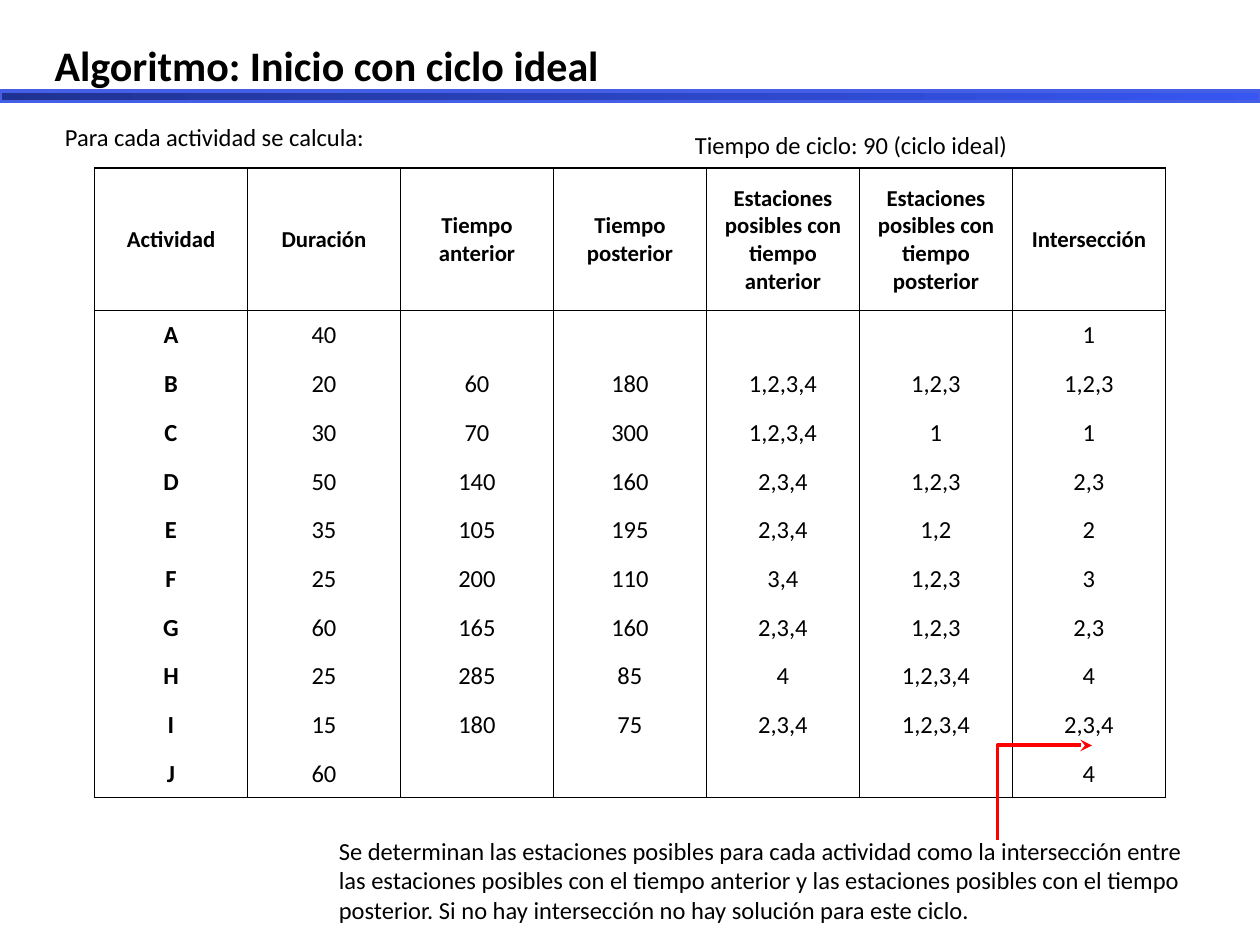
from copy import deepcopy
from dataclasses import dataclass

from lxml import etree
from pptx import Presentation
from pptx.dml.color import RGBColor
from pptx.enum.shapes import MSO_CONNECTOR, MSO_SHAPE
from pptx.enum.text import MSO_ANCHOR, MSO_AUTO_SIZE, PP_ALIGN
from pptx.oxml.ns import qn
from pptx.util import Pt

ELBOW = MSO_CONNECTOR.ELBOW
RECTANGLE = MSO_SHAPE.RECTANGLE
TOP, MIDDLE = MSO_ANCHOR.TOP, MSO_ANCHOR.MIDDLE
NO_AUTO_SIZE = MSO_AUTO_SIZE.NONE
LEFT, CENTER, JUSTIFY = PP_ALIGN.LEFT, PP_ALIGN.CENTER, PP_ALIGN.JUSTIFY
TITLE_ONLY = 5


@dataclass(frozen=True)
class Theme:
    font: str = "Calibri"
    text: str = "000000"
    arrow: str = "FF0000"
    bar_line: str = "445FE6"
    bar_stops: tuple = ((0, "1F3291"), (0.59, "2D48CA"), (1, "3756F2"))
    title_size: float = 24
    body_size: float = 14
    header_size: float = 13
    border_width: float = 0.75
    bar_line_width: float = 2
    arrow_width: float = 2.25


HEADERS = [
    "Actividad", "Duración", "Tiempo anterior", "Tiempo posterior",
    "Estaciones posibles con tiempo anterior",
    "Estaciones posibles con tiempo posterior", "Intersección",
]
ACTIVITIES = [
    ["A", "40", "", "", "", "", "1"],
    ["B", "20", "60", "180", "1,2,3,4", "1,2,3", "1,2,3"],
    ["C", "30", "70", "300", "1,2,3,4", "1", "1"],
    ["D", "50", "140", "160", "2,3,4", "1,2,3", "2,3"],
    ["E", "35", "105", "195", "2,3,4", "1,2", "2"],
    ["F", "25", "200", "110", "3,4", "1,2,3", "3"],
    ["G", "60", "165", "160", "2,3,4", "1,2,3", "2,3"],
    ["H", "25", "285", "85", "4", "1,2,3,4", "4"],
    ["I", "15", "180", "75", "2,3,4", "1,2,3,4", "2,3,4"],
    ["J", "60", "", "", "", "", "4"],
]
EXPLANATION = (
    "Se determinan las estaciones posibles para cada actividad como la "
    "intersección entre las estaciones posibles con el tiempo anterior y las "
    "estaciones posibles con el tiempo posterior. Si no hay intersección no "
    "hay solución para este ciclo."
)


class SlideBuilder:
    def __init__(self, slide, theme):
        self.slide = slide
        self.theme = theme

    def set_text(self, text_frame, text, size, bold=False, alignment=LEFT):
        text_frame.text = text
        for paragraph in text_frame.paragraphs:
            paragraph.alignment = alignment
            for run in paragraph.runs:
                run.font.name = self.theme.font
                run.font.size = Pt(size)
                run.font.bold = bold
                run.font.color.rgb = RGBColor.from_string(self.theme.text)

    def title(self, text, left, top, width, height):
        shape = self.slide.shapes.title
        shape.left, shape.top = Pt(left), Pt(top)
        shape.width, shape.height = Pt(width), Pt(height)
        shape.text_frame.auto_size = NO_AUTO_SIZE
        shape.text_frame.vertical_anchor = TOP
        self.set_text(shape.text_frame, text, self.theme.title_size, True,
                      JUSTIFY)

    def text(self, text, left, top, width, height, alignment=LEFT):
        shape = self.slide.shapes.add_textbox(
            Pt(left), Pt(top), Pt(width), Pt(height))
        shape.text_frame.word_wrap = True
        self.set_text(shape.text_frame, text, self.theme.body_size,
                      alignment=alignment)

    def bar(self, left, top, width, height):
        shape = self.slide.shapes.add_shape(
            RECTANGLE, Pt(left), Pt(top), Pt(width), Pt(height))
        shape.shadow.inherit = False
        shape.fill.gradient()
        shape.fill.gradient_angle = 0
        stop_list = shape._element.spPr.find(qn("a:gradFill")).find(
            qn("a:gsLst"))
        stop_list.append(deepcopy(stop_list[0]))
        for stop, (position, color) in zip(shape.fill.gradient_stops,
                                           self.theme.bar_stops):
            stop.position = position
            stop.color.rgb = RGBColor.from_string(color)
        shape.line.color.rgb = RGBColor.from_string(self.theme.bar_line)
        shape.line.width = Pt(self.theme.bar_line_width)

    def border(self, cell, visible_sides):
        properties = cell._tc.get_or_add_tcPr()
        for side in "LRTB":
            line = etree.SubElement(properties, qn(f"a:ln{side}"))
            if side in visible_sides:
                line.set("w", str(Pt(self.theme.border_width)))
                fill = etree.SubElement(line, qn("a:solidFill"))
                etree.SubElement(fill, qn("a:srgbClr"), val=self.theme.text)
            else:
                etree.SubElement(line, qn("a:noFill"))

    def table(self, rows, left, top, column_width, header_height, row_height):
        row_count, column_count = len(rows), len(rows[0])
        height = header_height + row_height * (row_count - 1)
        table = self.slide.shapes.add_table(
            row_count, column_count, Pt(left), Pt(top),
            Pt(column_width * column_count), Pt(height)).table
        table.first_row = table.horz_banding = False
        for column in table.columns:
            column.width = Pt(column_width)
        for row_index, values in enumerate(rows):
            is_header = row_index == 0
            table.rows[row_index].height = Pt(
                header_height if is_header else row_height)
            sides = "LR"
            if row_index <= 1:
                sides += "T"
            if is_header or row_index == row_count - 1:
                sides += "B"
            size = self.theme.header_size if is_header else self.theme.body_size
            for column_index, value in enumerate(values):
                cell = table.cell(row_index, column_index)
                cell.margin_left = cell.margin_right = Pt(4 if is_header else 1)
                cell.margin_top, cell.margin_bottom = Pt(0.75), Pt(0)
                cell.vertical_anchor = MIDDLE
                self.set_text(cell.text_frame, value, size,
                              is_header or column_index == 0, CENTER)
                self.border(cell, sides)
                cell.fill.background()

    def elbow_arrow(self, start_x, start_y, end_x, end_y):
        connector = self.slide.shapes.add_connector(
            ELBOW, Pt(start_x), Pt(start_y), Pt(end_x), Pt(end_y))
        connector.line.color.rgb = RGBColor.from_string(self.theme.arrow)
        connector.line.width = Pt(self.theme.arrow_width)
        properties = connector._element.spPr
        adjustments = properties.find(qn("a:prstGeom")).find(qn("a:avLst"))
        etree.SubElement(adjustments, qn("a:gd"), name="adj1", fmla="val 0")
        etree.SubElement(properties.find(qn("a:ln")), qn("a:tailEnd"),
                         type="stealth")
        etree.SubElement(properties, qn("a:effectLst"))


def main():
    presentation = Presentation()
    presentation.slide_width, presentation.slide_height = Pt(720), Pt(540)
    slide = presentation.slides.add_slide(
        presentation.slide_layouts[TITLE_ONLY])
    builder = SlideBuilder(slide, Theme())
    builder.text("Para cada actividad se calcula:", 30, 66.25, 660, 24.5, JUSTIFY)
    builder.title("Algoritmo: Inicio con ciclo ideal", 24, 18.75, 642, 36)
    builder.table([HEADERS] + ACTIVITIES, 54, 96, 87.43, 81.4, 27.86)
    builder.text("Tiempo de ciclo: 90 (ciclo ideal)", 390, 71, 312, 25)
    builder.bar(0, 52, 720, 6)
    builder.elbow_arrow(570, 480, 624, 426)
    builder.text(EXPLANATION, 186.5, 474, 497.5, 58)
    presentation.save("out.pptx")


if __name__ == "__main__":
    main()
